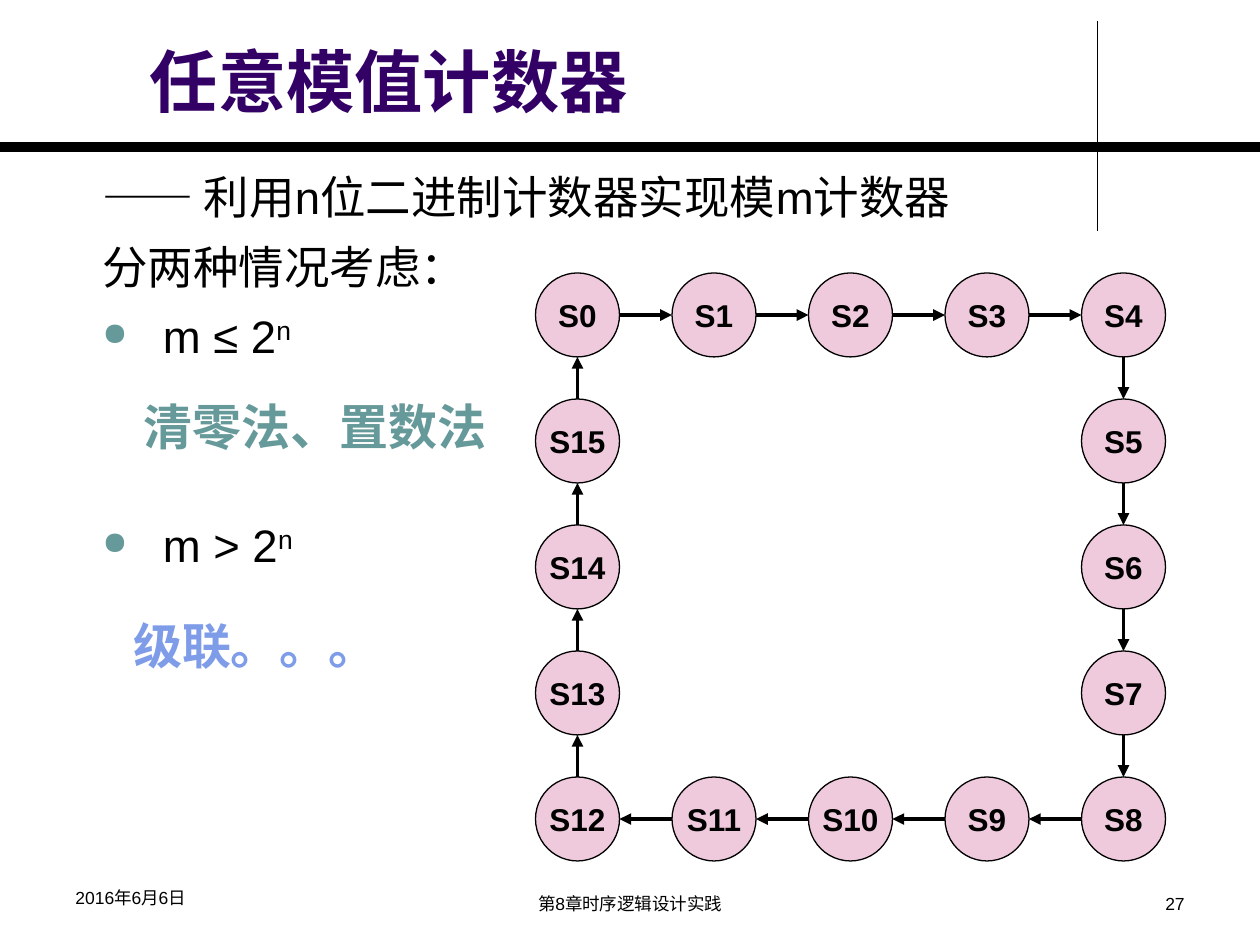
from dataclasses import dataclass, field
from itertools import pairwise

from lxml import etree
from pptx import Presentation
from pptx import util as u
from pptx.dml.color import RGBColor
from pptx.enum import shapes, text
from pptx.oxml.ns import qn

# The slide is a grid of 120 columns by 90 rows
CELL = u.Inches(10) / 120
INK, TEAL = "000000", "669999"
SIDE = 4  # steps along each side of the state ring
LEFT, TOP, DIAM, STEP_X, STEP_Y = 51, 26, 8, 13, 12


@dataclass
class Label:
    words: str
    box: tuple
    size: float
    color: str = INK
    bold: bool = False
    wrap: bool = True
    align: text.PP_ALIGN = text.PP_ALIGN.LEFT
    anchor: text.MSO_ANCHOR = text.MSO_ANCHOR.TOP


@dataclass
class Item:
    runs: list = field(default_factory=list)  # (words, font name, raised)
    gap: float = 0
    dot: bool = False


def cells(*nums: float) -> list:
    return [u.Emu(round(n * CELL)) for n in nums]


def rgb(code: str) -> RGBColor:
    return RGBColor.from_string(code)


def style(font, color: str = INK, **form) -> None:
    for key, val in form.items():
        setattr(font, key, val)
    font.color.rgb = rgb(color)


def add_line(page, start: tuple, end: tuple, width: float, arrow: bool = False) -> None:
    line = page.shapes.add_connector(
        shapes.MSO_CONNECTOR.STRAIGHT, *cells(*start, *end))
    line.line.color.rgb = rgb(INK)
    line.line.width = u.Pt(width)
    if arrow:
        etree.SubElement(line.line._get_or_add_ln(), qn("a:tailEnd"), type="triangle")
    etree.SubElement(line._element.spPr, qn("a:effectLst"))


def add_label(page, label: Label) -> None:
    frame = page.shapes.add_textbox(*cells(*label.box)).text_frame
    frame.word_wrap = label.wrap
    frame.vertical_anchor = label.anchor
    para = frame.paragraphs[0]
    para.alignment = label.align
    run = para.add_run()
    run.text = label.words
    style(run.font, label.color, name="Arial", size=u.Pt(label.size), bold=label.bold)


def add_state(page, name: str, mid: tuple) -> None:
    x, y = mid
    node = page.shapes.add_shape(
        shapes.MSO_SHAPE.OVAL, *cells(x - DIAM / 2, y - DIAM / 2, DIAM, DIAM))
    node.shadow.inherit = False
    node.fill.solid()
    node.fill.fore_color.rgb = rgb("EECADC")
    node.line.color.rgb = rgb(INK)
    node.line.width = u.Pt(0.75)
    frame = node.text_frame
    frame.word_wrap = False
    frame.vertical_anchor = text.MSO_ANCHOR.MIDDLE
    para = frame.paragraphs[0]
    para.alignment = text.PP_ALIGN.CENTER
    run = para.add_run()
    run.text = name
    style(run.font, name="Arial", size=u.Pt(18), bold=True)


def add_step(page, start: tuple, end: tuple) -> None:
    """Arrow from the rim of one state to the rim of the next."""
    (ax, ay), (bx, by) = start, end
    dx, dy = ((b > a) - (b < a) for a, b in ((ax, bx), (ay, by)))
    rad = DIAM / 2
    add_line(page, (ax + dx * rad, ay + dy * rad),
             (bx - dx * rad, by - dy * rad), 2.25, arrow=True)


def add_body(page, box: tuple, items: list) -> None:
    frame = page.shapes.add_textbox(*cells(*box)).text_frame
    frame.word_wrap = True
    for num, item in enumerate(items):
        para = frame.add_paragraph() if num else frame.paragraphs[0]
        props = para._p.get_or_add_pPr()
        props.set("marL", str(u.Inches(0.76)))
        props.set("indent", str(u.Inches(-0.38)))
        para.line_spacing = 1.1
        para.space_before = u.Pt(item.gap)
        if item.dot:
            tint = etree.SubElement(props, qn("a:buClr"))
            etree.SubElement(tint, qn("a:srgbClr"), val=TEAL)
            etree.SubElement(props, qn("a:buSzPct"), val="70000")
            etree.SubElement(props, qn("a:buChar"), char="●")
        else:
            etree.SubElement(props, qn("a:buNone"))
        for words, name, raised in item.runs:
            run = para.add_run()
            run.text = words
            style(run.font, name=name, size=u.Pt(26))
            if raised:
                run.font._element.set("baseline", "30000")


def ring() -> list:
    """Centres of the states, clockwise from the top left."""
    steps = range(SIDE)
    spots = ([(i, 0) for i in steps] + [(SIDE, i) for i in steps]
             + [(SIDE - i, SIDE) for i in steps] + [(0, SIDE - i) for i in steps])
    return [(LEFT + DIAM / 2 + STEP_X * c, TOP + DIAM / 2 + STEP_Y * r)
            for c, r in spots]


LABELS = [
    Label("任意模值计数器", (13.1, 2.4, 90.6, 9.7), 39, "330066", True,
          anchor=text.MSO_ANCHOR.BOTTOM),
    Label("清零法、置数法", (12.5, 37.2, 35.3, 6.8), 28, TEAL, True, False),
    Label("级联。。。", (11.5, 58, 25.8, 6.8), 28, "7E9CE8", True, False),
    Label("2016年6月6日", (6, 83.9, 28, 4.1), 10),
    Label("第8章时序逻辑设计实践", (41, 84.5, 38, 3.5), 10, align=text.PP_ALIGN.CENTER),
    Label("27", (86, 84.5, 28, 3.5), 10, align=text.PP_ALIGN.RIGHT),
]

ITEMS = [
    Item([("——", "Times New Roman", False),
          (" 利用n位二进制计数器实现模m计数器", "Arial", False)]),
    Item([("分两种情况考虑：", "Arial", False)], 5.5),
    Item([(" m ≤ 2", "Arial", False), ("n", "Arial", True)], 5.5, True),
    Item([(" m > 2", "Arial", False), ("n", "Arial", True)], 85, True),
]


def main() -> None:
    deck = Presentation()
    deck.slide_width, deck.slide_height = cells(120, 90)
    page = deck.slides.add_slide(deck.slide_layouts[6])

    # Rules around the title
    add_line(page, (104.5, 2), (104.5, 22), 0.75)
    add_line(page, (0, 14), (120, 14), 6)

    # Body text
    add_body(page, (4, 15, 112, 65), ITEMS)

    # Ring of states
    mids = ring()
    for num, mid in enumerate(mids):
        add_state(page, f"S{num}", mid)
    for start, end in pairwise(mids + mids[:1]):
        add_step(page, start, end)

    # Title, notes on each case and footer
    for label in LABELS:
        add_label(page, label)

    deck.save("out.pptx")


if __name__ == "__main__":
    main()
